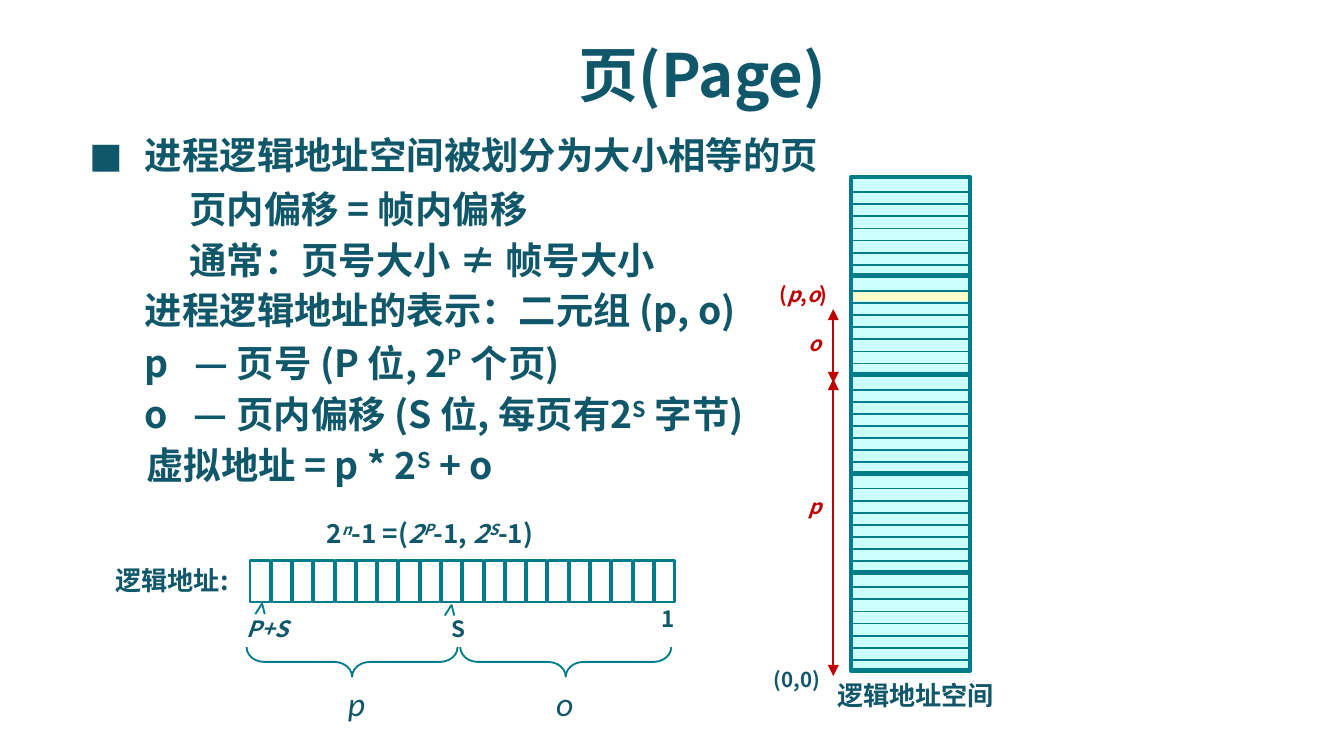
import pptx
import pptx.dml.color
import pptx.enum.shapes
import pptx.enum.text
import pptx.oxml
import pptx.oxml.ns
import pptx.util
from pptx.util import Inches

SHAPE = pptx.enum.shapes.MSO_SHAPE
CENTER = pptx.enum.text.PP_ALIGN.CENTER
INK, TEAL, RED = "11576A", "007C8B", "C00000"
CJK = "Noto Sans CJK SC"


def colour(hex_code):
    return pptx.dml.color.RGBColor.from_string(hex_code)


def add_xml(parent, tag, **attributes):
    child = pptx.oxml.parse_xml(f"<a:{tag} {pptx.oxml.ns.nsdecls('a')}/>")
    for name, value in attributes.items():
        child.set(name, value)
    parent.append(child)


class Painter:
    def __init__(self, page):
        self.page = page

    def text(self, left, top, width, height, spans, size, ink=INK, font=CJK,
             bold=True, wrap=True, align=None):
        """Add one paragraph; a span is text or (text, flags), i = italic, ^ = superscript."""
        box = self.page.shapes.add_textbox(
            Inches(left), Inches(top), Inches(width), Inches(height))
        frame = box.text_frame
        frame.word_wrap = wrap
        frame.auto_size = pptx.enum.text.MSO_AUTO_SIZE.SHAPE_TO_FIT_TEXT
        para = frame.paragraphs[0]
        para.alignment = align
        para.font.size = pptx.util.Pt(size)
        para.font.bold = bold
        para.font.color.rgb = colour(ink)
        para.font.name = font
        add_xml(para.font._element, "ea", typeface=font)
        for item in spans:
            words, flags = (item, "") if isinstance(item, str) else item
            span = para.add_run()
            span.text = words
            if "i" in flags:
                span.font.italic = True
            if "^" in flags:
                span.font._element.set("baseline", "30000")
        return para

    def shape(self, kind, left, top, width, height, fill=None, line=None, weight=1):
        item = self.page.shapes.add_shape(
            kind, Inches(left), Inches(top), Inches(width), Inches(height))
        item.shadow.inherit = False
        if fill:
            item.fill.solid()
            item.fill.fore_color.rgb = colour(fill)
        else:
            item.fill.background()
        if line:
            item.line.color.rgb = colour(line)
            item.line.width = pptx.util.Pt(weight)
        else:
            item.line.fill.background()
        return item

    def line(self, x1, y1, x2, y2, ink=TEAL, arrows=False):
        item = self.page.shapes.add_connector(
            pptx.enum.shapes.MSO_CONNECTOR.STRAIGHT,
            Inches(x1), Inches(y1), Inches(x2), Inches(y2))
        item.line.color.rgb = colour(ink)
        item.line.width = pptx.util.Pt(1)
        if arrows:
            for end in ("headEnd", "tailEnd"):
                add_xml(item.line._get_or_add_ln(), end, type="triangle")
        add_xml(item._element.spPr, "effectLst")

    def brace(self, left):
        """Add a brace that opens upwards."""
        item = self.shape(SHAPE.LEFT_BRACE, left, 4.14, 0.22, 1.57, line=TEAL)
        item.rotation = 270
        item.adjustments[0] = 0.6
        item.adjustments[1] = 0.5

    def caret(self, x, y):
        self.line(x, y, x - 0.05, y + 0.08)
        self.line(x, y, x + 0.02, y + 0.08)


def draw_statements(painter):
    painter.text(4.21, 0.23, 6.1, 0.64, ["页(Page)"], 32)
    painter.text(0.57, 0.98, 0.45, 0.4, ["■"], 18, font="Noto Sans CJK JP", wrap=False)
    for left, top, width, words in (
            (0.98, 0.96, 8.98, "进程逻辑地址空间被划分为大小相等的页"),
            (1.31, 1.36, 7.88, "页内偏移 = 帧内偏移"),
            (1.31, 1.74, 7.88, "通常：页号大小 ≠ 帧号大小")):
        para = painter.text(left, top, width, 0.42, [words], 20)
        para.line_spacing = 0.95
        para.space_before = pptx.util.Pt(4)
        properties = para._p.get_or_add_pPr()
        properties.set("marL", str(Inches(0.38)))
        properties.set("indent", str(-Inches(0.38)))
    for left, top, width, spans in (
            (0.98, 2.09, 4.72, ["进程逻辑地址的表示：二元组 (p, o)"]),
            (0.98, 2.48, 4.34, ["p   — 页号 (P 位, 2", ("P", "^"), " 个页)"]),
            (0.98, 2.86, 7.88, ["o   — 页内偏移 (S 位, 每页有2", ("S", "^"), " 字节)"]),
            (0.99, 3.24, 4.72, ["虚拟地址 = p * 2", ("S", "^"), " + o"])):
        painter.text(left, top, width, 0.44, spans, 20)


def draw_address_bits(painter):
    bits, first, last = 20, 1.86, 4.87
    for bit in range(bits):
        left = first + bit * (last - first) / (bits - 1)
        painter.shape(SHAPE.RECTANGLE, left, 4.17, 0.15, 0.31, line=TEAL, weight=1.5)
    painter.text(0.76, 4.15, 1.04, 0.33, ["逻辑地址:"], 14, wrap=False)
    painter.text(2.33, 3.8, 2.19, 0.33, [
        "2", ("n", "i^"), "-1 =(", ("2", "i"), ("P", "i^"), "-1, ",
        ("2", "i"), ("S", "i^"), "-1)"], 14)
    for left, top, width, span in (
            (4.82, 4.45, 0.3, "1"), (3.26, 4.53, 0.3, "S"), (1.72, 4.53, 0.54, ("P+S", "i"))):
        painter.text(left, top, width, 0.3, [span], 12, wrap=False, align=CENTER)
    painter.caret(3.36, 4.5)
    painter.caret(1.95, 4.49)
    for brace_left, label_left, label in ((2.51, 2.49, "p"), (4.1, 4.04, "o")):
        painter.brace(brace_left)
        painter.text(label_left, 5.03, 0.37, 0.4, [(label, "i")], 18,
                     font="Calibri", bold=False)


def draw_address_space(painter):
    painter.shape(SHAPE.RECTANGLE, 6.33, 1.33, 0.89, 3.66, fill="C0FEF9", line="000099")
    painter.shape(SHAPE.RECTANGLE, 6.32, 1.33, 0.89, 3.66, fill="CCFFFF")
    painter.shape(SHAPE.RECTANGLE, 6.33, 2.17, 0.89, 0.07, fill="FFFFCC")
    pages, first, last = 5, 1.32, 4.26
    for number in range(pages):
        top = first + number * (last - first) / (pages - 1)
        painter.shape(SHAPE.RECTANGLE, 6.33, top, 0.89, 0.73, line=TEAL, weight=2.25)
        for row in range(7):
            y = top + 0.11 + row * 0.09
            painter.line(6.35, y, 7.21, y)
    painter.text(5.66, 4.91, 0.55, 0.28, ["(0,0)"], 11, wrap=False)
    painter.text(6.13, 5.01, 1.38, 0.33, ["逻辑地址空间"], 14, wrap=False)
    for bottom, top, label_top, label in ((5.03, 2.82, 3.63, "p"), (2.85, 2.3, 2.41, "o")):
        painter.line(6.2, bottom, 6.2, top, ink=RED, arrows=True)
        painter.text(5.92, label_top, 0.33, 0.28, [(label, "i")], 11, ink=RED)
    painter.text(5.7, 2.05, 0.57, 0.28, ["(", ("p", "i"), ",", ("o", "i"), ")"], 11,
                 ink=RED, wrap=False)


def main():
    deck = pptx.Presentation()
    deck.slide_width = Inches(10)
    deck.slide_height = deck.slide_width * 9 // 16
    painter = Painter(deck.slides.add_slide(deck.slide_layouts[6]))
    draw_statements(painter)
    draw_address_bits(painter)
    draw_address_space(painter)
    deck.save("out.pptx")


if __name__ == "__main__":
    main()
